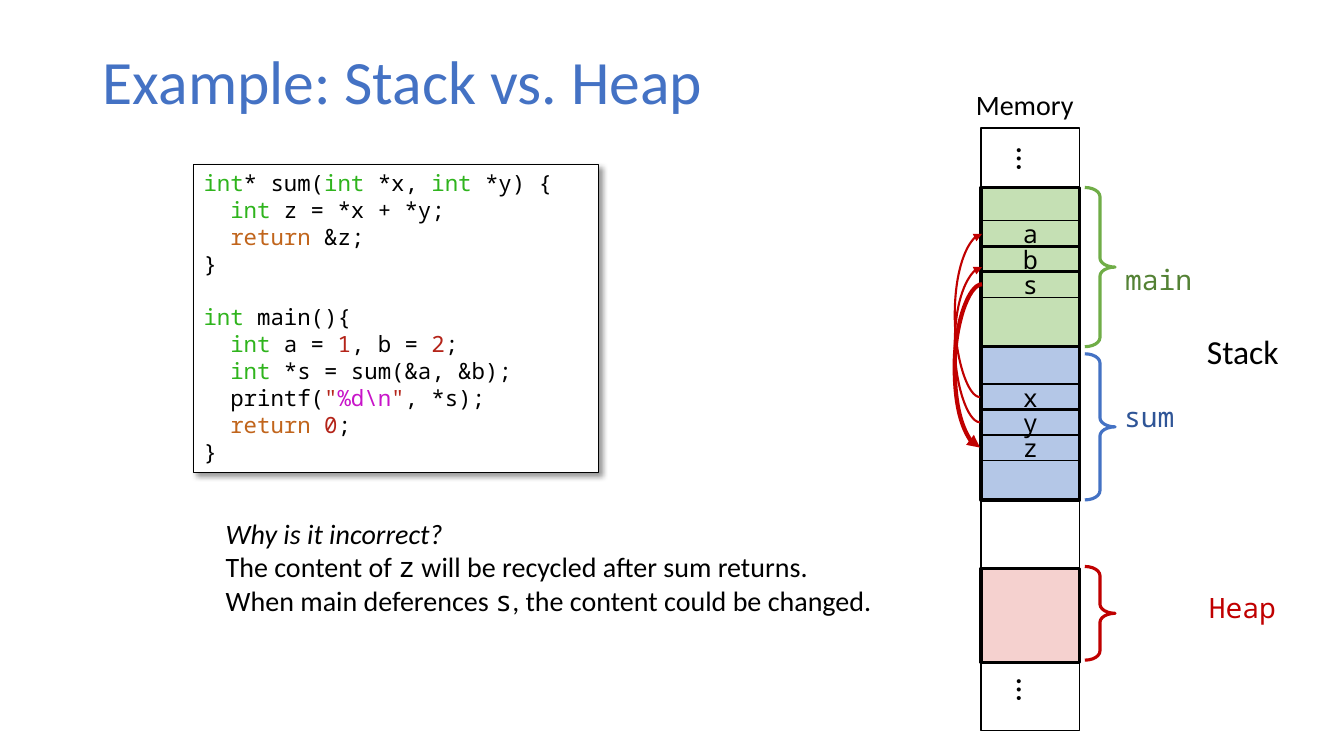
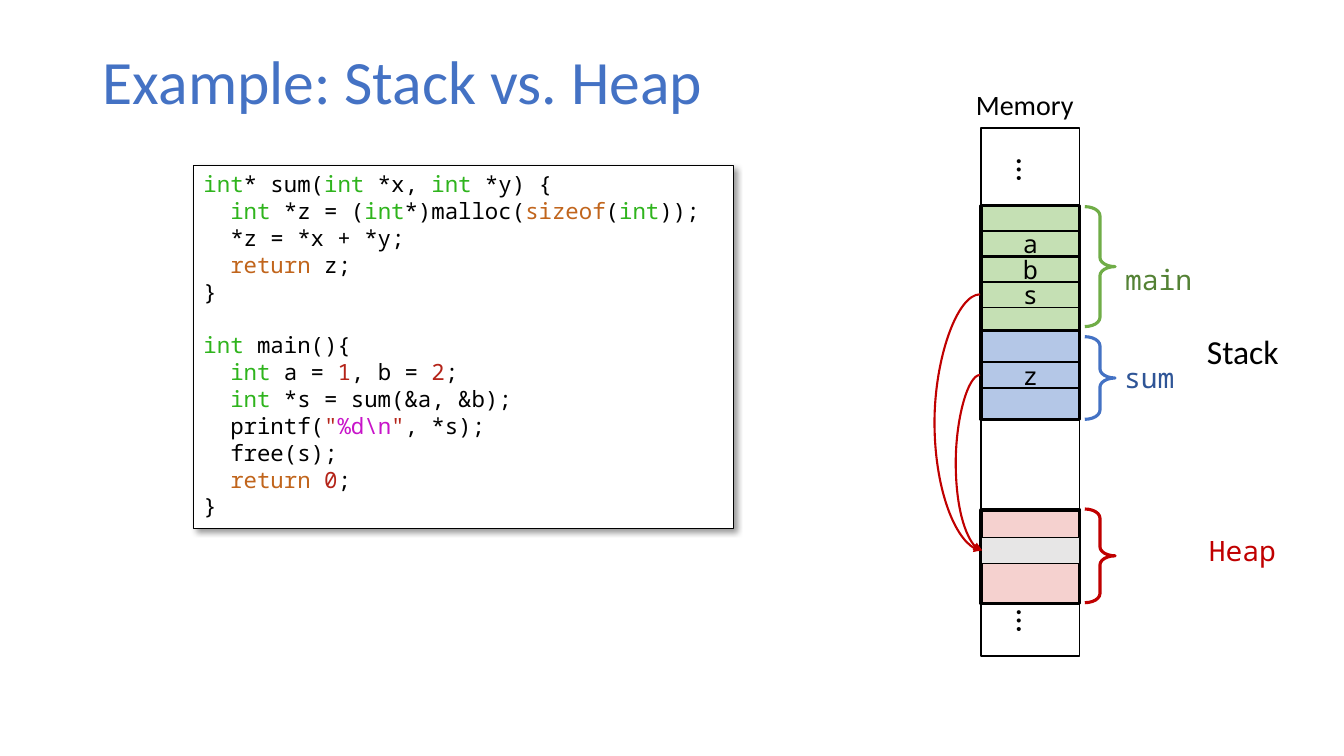
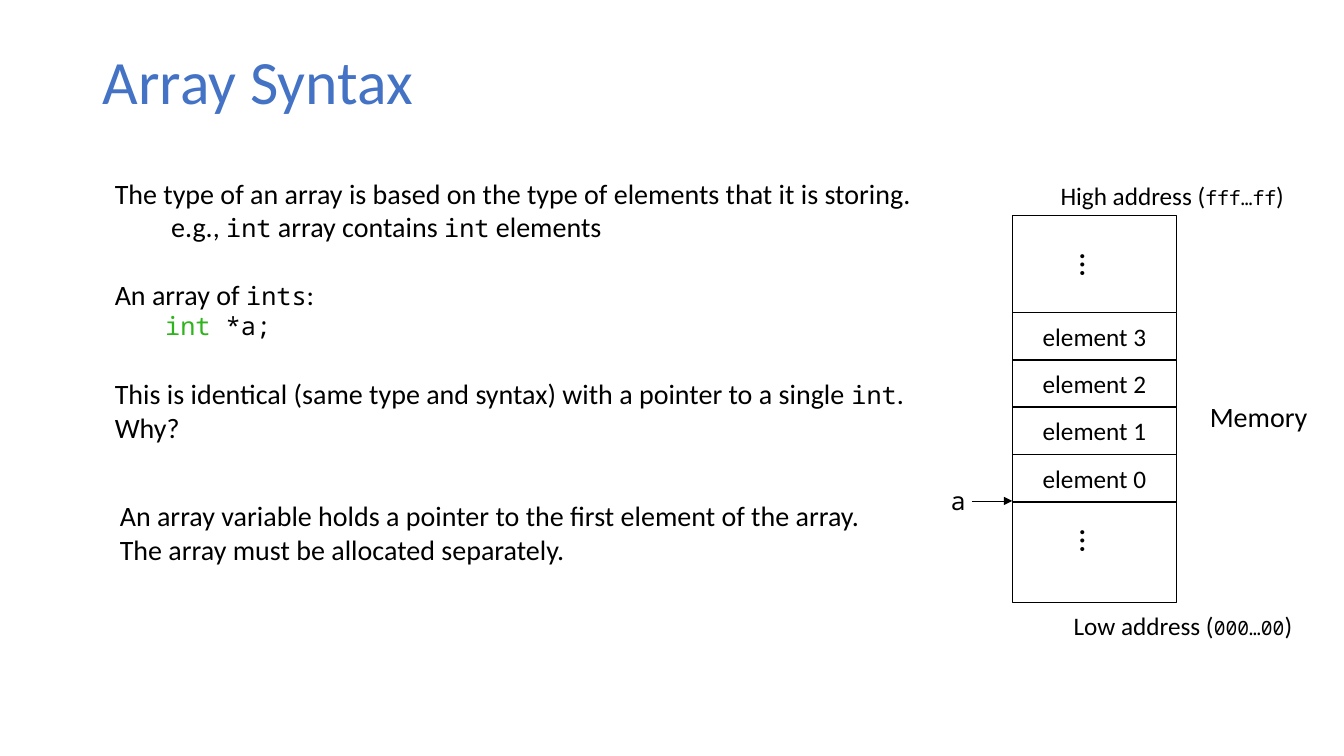
import dataclasses
import itertools

import lxml.etree
import pptx
import pptx.dml.color
import pptx.enum.shapes
import pptx.enum.text
import pptx.oxml.ns
import pptx.util

Inches = pptx.util.Inches
Pt = pptx.util.Pt
qn = pptx.oxml.ns.qn
Shapes = pptx.enum.shapes.MSO_SHAPE
Connectors = pptx.enum.shapes.MSO_CONNECTOR
Anchor = pptx.enum.text.MSO_ANCHOR
Align = pptx.enum.text.PP_ALIGN


@dataclasses.dataclass(frozen=True)
class Theme:
    """Colours, fonts and type sizes shared by the slides."""

    sans: str = "Calibri"
    mono: str = "Noto Sans Mono"
    title: str = "4472C4"
    ink: str = "000000"
    paper: str = "FFFFFF"
    type_name: str = "2FB41D"
    keyword: str = "C1651C"
    literal: str = "B42419"
    escape: str = "C814C9"
    pointer: str = "C00000"
    allocated: str = "E7E6E6"
    title_size: int = 44
    large: int = 24
    body: int = 20
    cell: int = 18
    code: int = 16
    small: int = 14
    code_gap: float = 19.1


@dataclasses.dataclass(frozen=True)
class Region:
    """Colours and label column of one region of memory."""

    name: str
    fill: str
    brace: str
    text: str
    label_left: float


THEME = Theme()
MAIN = Region("main", "C5E0B4", "70AD47", "548235", 11.06)
SUM = Region("sum", "B4C7E7", "4472C4", "2F5597", 11.05)
HEAP = Region("Heap", "F5D1CF", THEME.pointer, THEME.pointer, 11.89)

COLUMN_LEFT, COLUMN_TOP, COLUMN_WIDTH = 9.73, 1.27, 0.98
CELL_HEIGHT, CELL_STEP = 0.26, 0.25
POINTER_LEFT, POINTER_RIGHT = 9.72, 9.74

SUM_ON_STACK = r"""int* sum(int *x, int *y) {
  int z = *x + *y;
  return &z;
}"""
SUM_ON_HEAP = r"""int* sum(int *x, int *y) {
  int *z = (int*)malloc(sizeof(int));
  *z = *x + *y;
  return z;
}"""
MAIN_START = r"""int main(){
  int a = 1, b = 2;
  int *s = sum(&a, &b);
  printf("%d\n", *s);
"""
MAIN_END = """  return 0;
}"""


def rgb(colour):
    """Return a colour object for a hex string."""
    return pptx.dml.color.RGBColor.from_string(colour)


def text_run(text, font=THEME.sans, size=THEME.body, colour=THEME.ink, italic=False):
    """Describe one run of text."""
    return text, font, size, colour, italic


def prose(text, size=THEME.body, mono_size=THEME.cell):
    """Describe a sentence whose backticked parts are monospaced."""
    return [
        text_run(part, THEME.mono, mono_size) if index % 2 else text_run(part, size=size)
        for index, part in enumerate(text.split("`"))
        if part
    ]


def word_colour(word):
    """Choose the syntax colour of one word of code."""
    if word.isdigit():
        return THEME.literal
    colours = {"int": THEME.type_name, "return": THEME.keyword, "sizeof": THEME.keyword}
    return colours.get(word, THEME.ink)


def code_line(line, size=THEME.code):
    """Describe a line of C as coloured runs."""
    tokens = []
    for index, part in enumerate(line.split('"')):
        if index:
            tokens.append(('"', THEME.literal))
        if index % 2:
            tokens.append((part, THEME.escape))
        else:
            words = ("".join(group) for _, group in itertools.groupby(part, str.isalnum))
            tokens.extend((word, word_colour(word)) for word in words)
    return [
        text_run("".join(token for token, _ in group), THEME.mono, size, colour)
        for colour, group in itertools.groupby(tokens, lambda token: token[1])
    ]


def write(frame, paragraphs, align=Align.LEFT):
    """Write paragraphs of described runs into a text frame."""
    for index, runs in enumerate(paragraphs):
        paragraph = frame.add_paragraph() if index else frame.paragraphs[0]
        paragraph.alignment = align
        for text, font, size, colour, italic in runs:
            run = paragraph.add_run()
            run.text = text
            run.font.name = font
            run.font.size = Pt(size)
            run.font.color.rgb = rgb(colour)
            run.font.italic = italic


def add_title(slide, text):
    """Fill and place the title placeholder."""
    title = slide.shapes.title
    title.left, title.top = Inches(0.92), Inches(0.4)
    title.width, title.height = Inches(11.5), Inches(0.87)
    title.text_frame.vertical_anchor = Anchor.MIDDLE
    write(title.text_frame, [[text_run(text, size=THEME.title_size, colour=THEME.title)]])
    title.text_frame.paragraphs[0].line_spacing = 0.9


def add_text(slide, left, top, width, height, paragraphs, wrap=False, align=Align.LEFT):
    """Add a text box that fits its text."""
    box = slide.shapes.add_textbox(Inches(left), Inches(top), Inches(width), Inches(height))
    box.text_frame.word_wrap = wrap
    box.text_frame.auto_size = pptx.enum.text.MSO_AUTO_SIZE.SHAPE_TO_FIT_TEXT
    write(box.text_frame, paragraphs, align)
    return box


def add_box(slide, left, top, width, height, fill=None, weight=1, line=THEME.ink,
            kind=Shapes.RECTANGLE):
    """Add an outlined shape, filled if a colour is given."""
    box = slide.shapes.add_shape(kind, Inches(left), Inches(top), Inches(width), Inches(height))
    box.shadow.inherit = False
    if fill:
        box.fill.solid()
        box.fill.fore_color.rgb = rgb(fill)
    else:
        box.fill.background()
    box.line.color.rgb = rgb(line)
    box.line.width = Pt(weight)
    return box


def add_cell(slide, left, top, width, height, text, font, fill=None):
    """Add a memory cell with a centred name."""
    cell = add_box(slide, left, top, width, height, fill)
    cell.text_frame.vertical_anchor = Anchor.MIDDLE
    write(cell.text_frame, [[text_run(text, font, THEME.cell)]], Align.CENTER)


def add_ellipsis(slide, center_x, center_y):
    """Add a vertical ellipsis around a centre."""
    dots = add_text(slide, center_x - 0.35, center_y - 0.25, 0.7, 0.5,
                    [[text_run("…", size=THEME.large)]], align=Align.CENTER)
    dots.rotation = 90


def add_arrow(slide, start, end, colour, weight, bend=None):
    """Add an arrow, curved through the x position bend if given."""
    kind = Connectors.STRAIGHT if bend is None else Connectors.CURVE
    arrow = slide.shapes.add_connector(kind, *(Inches(value) for value in (*start, *end)))
    arrow.line.color.rgb = rgb(colour)
    arrow.line.width = Pt(weight)
    properties = arrow._element.spPr
    lxml.etree.SubElement(properties.find(qn("a:ln")), qn("a:tailEnd"), type="triangle")
    lxml.etree.SubElement(properties, qn("a:effectLst"))
    if bend is not None:
        ratio = (bend - start[0]) / (end[0] - start[0])
        geometry = properties.find(qn("a:prstGeom"))
        guides = geometry.find(qn("a:avLst"))
        if guides is None:
            guides = lxml.etree.SubElement(geometry, qn("a:avLst"))
        lxml.etree.SubElement(guides, qn("a:gd"), name="adj1", fmla=f"val {round(ratio * 100000)}")


def add_code(slide, top, width, height, functions):
    """Add a shadowed panel of C functions set apart by spacing."""
    panel = add_box(slide, 1.92, top, width, height, THEME.paper, 0.75)
    effects = panel._element.spPr.find(qn("a:effectLst"))
    shadow = lxml.etree.SubElement(effects, qn("a:outerShdw"), blurRad=str(int(Pt(4))),
                                   dist=str(int(Pt(3))), dir="2700000", algn="tl",
                                   rotWithShape="0")
    tint = lxml.etree.SubElement(shadow, qn("a:srgbClr"), val=THEME.ink)
    lxml.etree.SubElement(tint, qn("a:alpha"), val="40000")
    panel.text_frame.vertical_anchor = Anchor.TOP
    lines = [line for function in functions for line in function.split("\n")]
    write(panel.text_frame, [code_line(line) for line in lines])
    first_lines = itertools.accumulate(len(function.split("\n")) for function in functions[:-1])
    for index in first_lines:
        panel.text_frame.paragraphs[index].space_before = Pt(THEME.code_gap)


def add_memory(slide, height, dots):
    """Add the memory column with its captions."""
    add_box(slide, COLUMN_LEFT, COLUMN_TOP, COLUMN_WIDTH, height, THEME.paper)
    for center_y in dots:
        add_ellipsis(slide, 10.22, center_y)
    add_text(slide, 9.58, 0.82, 1.18, 0.44, [prose("Memory")])
    stack = add_text(slide, 11.93, 3.24, 0.83, 0.49, [[text_run("Stack", size=THEME.large)]])
    frame = stack.text_frame
    frame.margin_left = frame.margin_right = Inches(0.04)
    frame.margin_top = frame.margin_bottom = Inches(0.04)


def add_region(slide, region, span, brace_span, label_top, cells="", cells_top=0):
    """Add a region of memory with its cells, brace and label."""
    add_box(slide, COLUMN_LEFT, span[0], COLUMN_WIDTH, span[1], region.fill, 2.25)
    for index, name in enumerate(cells):
        add_cell(slide, COLUMN_LEFT, cells_top + index * CELL_STEP, COLUMN_WIDTH, CELL_HEIGHT,
                 name, THEME.mono)
    brace = add_box(slide, 10.76, brace_span[0], 0.3, brace_span[1], weight=2.25,
                    line=region.brace, kind=Shapes.RIGHT_BRACE)
    brace.adjustments[0] = 0.302
    add_text(slide, region.label_left, label_top, 0.88, 0.44,
             [[text_run(region.name, THEME.mono, colour=region.text)]])


def build_stack_slide(slide):
    """Show a function returning the address of a local variable."""
    add_title(slide, "Example: Stack vs. Heap")
    add_text(slide, 2.14, 5.07, 7.01, 1.11, [
        [text_run("Why is it incorrect?", italic=True)],
        prose("The content of `z` will be recycled after sum returns.", mono_size=THEME.body),
        prose("When main deferences `s`, the content could be changed.", mono_size=THEME.body),
    ], wrap=True)
    add_memory(slide, 5.98, (1.58, 6.85))
    add_region(slide, MAIN, (1.86, 1.58), (1.86, 1.58), 2.56, "abs", 2.19)
    add_region(slide, SUM, (3.44, 1.52), (3.51, 1.45), 3.91, "xyz", 3.81)
    add_region(slide, HEAP, (5.64, 0.93), (5.62, 0.93), 5.81)
    for source, target in ((3.94, 2.32), (4.19, 2.65)):
        add_arrow(slide, (POINTER_LEFT, source), (POINTER_RIGHT, target), THEME.pointer, 1.5, 9.47)
    add_arrow(slide, (POINTER_RIGHT, 2.82), (POINTER_LEFT, 4.44), THEME.pointer, 3, 9.47)
    add_code(slide, 1.63, 4.02, 3.06, [SUM_ON_STACK, MAIN_START + MAIN_END])


def build_heap_slide(slide):
    """Show a function returning memory allocated on the heap."""
    add_title(slide, "Example: Stack vs. Heap")
    add_code(slide, 1.64, 5.36, 3.6, [SUM_ON_HEAP, MAIN_START + "  free(s);\n" + MAIN_END])
    add_memory(slide, 5.24, (1.69, 6.16))
    add_region(slide, MAIN, (2.04, 1.24), (2.05, 1.19), 2.56, "abs", 2.29)
    add_region(slide, SUM, (3.28, 0.88), (3.34, 0.82), 3.53, "z", 3.59)
    add_region(slide, HEAP, (5.06, 0.93), (5.05, 0.93), 5.24)
    add_box(slide, COLUMN_LEFT, 5.33, COLUMN_WIDTH, CELL_HEIGHT, THEME.allocated)
    for source, bend in ((2.92, 9.27), (3.72, 9.48)):
        add_arrow(slide, (POINTER_LEFT, source), (POINTER_RIGHT, 5.46), THEME.pointer, 1.5, bend)


def add_indented(slide, top, width, lead, detail, indent):
    """Add a sentence with an indented line under it."""
    box = add_text(slide, 1.04, top, width, 0.77, [lead, detail])
    properties = box.text_frame.paragraphs[1]._p.get_or_add_pPr()
    properties.set("marL", str(int(Inches(indent))))


def build_array_slide(slide):
    """Explain the array type and its layout in memory."""
    add_title(slide, "Array Syntax")
    add_indented(
        slide, 1.7, 8.24,
        prose("The type of an array is based on the type of elements that it is storing."),
        prose("e.g., `int` array contains `int` elements"), 0.56)
    add_indented(slide, 2.7, 2.33, prose("An array of `ints`:"),
                 code_line("int *a;", THEME.cell), 0.5)
    add_text(slide, 1.04, 3.69, 8.29, 0.77, [
        prose("This is identical (same type and syntax) with a pointer to a single `int`."),
        prose("Why?"),
    ], wrap=True)
    add_text(slide, 1.09, 4.9, 7.67, 0.77, [
        prose("An array variable holds a pointer to the first element of the array."),
        prose("The array must be allocated separately."),
    ])
    array_left, array_width = 10.04, 1.63
    add_box(slide, array_left, 2.14, array_width, 3.84, THEME.paper)
    for center_y in (2.63, 5.37):
        add_ellipsis(slide, 10.85, center_y)
    for row in range(4):
        add_cell(slide, array_left, 3.1 + row * 0.47, array_width, 0.47,
                 f"element {3 - row}", THEME.sans, THEME.paper)
    add_text(slide, 11.9, 3.91, 1.18, 0.44, [prose("Memory")])
    for left, top, address in ((10.42, 1.74, "High address (`fff…ff`)"),
                               (10.55, 6.01, "Low address (`000…00`)")):
        add_text(slide, left, top, 2.42, 0.4, [prose(address, THEME.cell, THEME.small)])
    add_text(slide, 9.33, 4.77, 0.35, 0.4, [prose("`a`")])
    add_arrow(slide, (9.64, 4.97), (array_left, 4.97), THEME.ink, 0.5)


def main():
    """Build and save the presentation."""
    deck = pptx.Presentation()
    deck.slide_width, deck.slide_height = Inches(13.33), Inches(7.5)
    title_only = deck.slide_layouts[5]
    for build in (build_stack_slide, build_heap_slide, build_array_slide):
        build(deck.slides.add_slide(title_only))
    deck.save("out.pptx")


if __name__ == "__main__":
    main()
